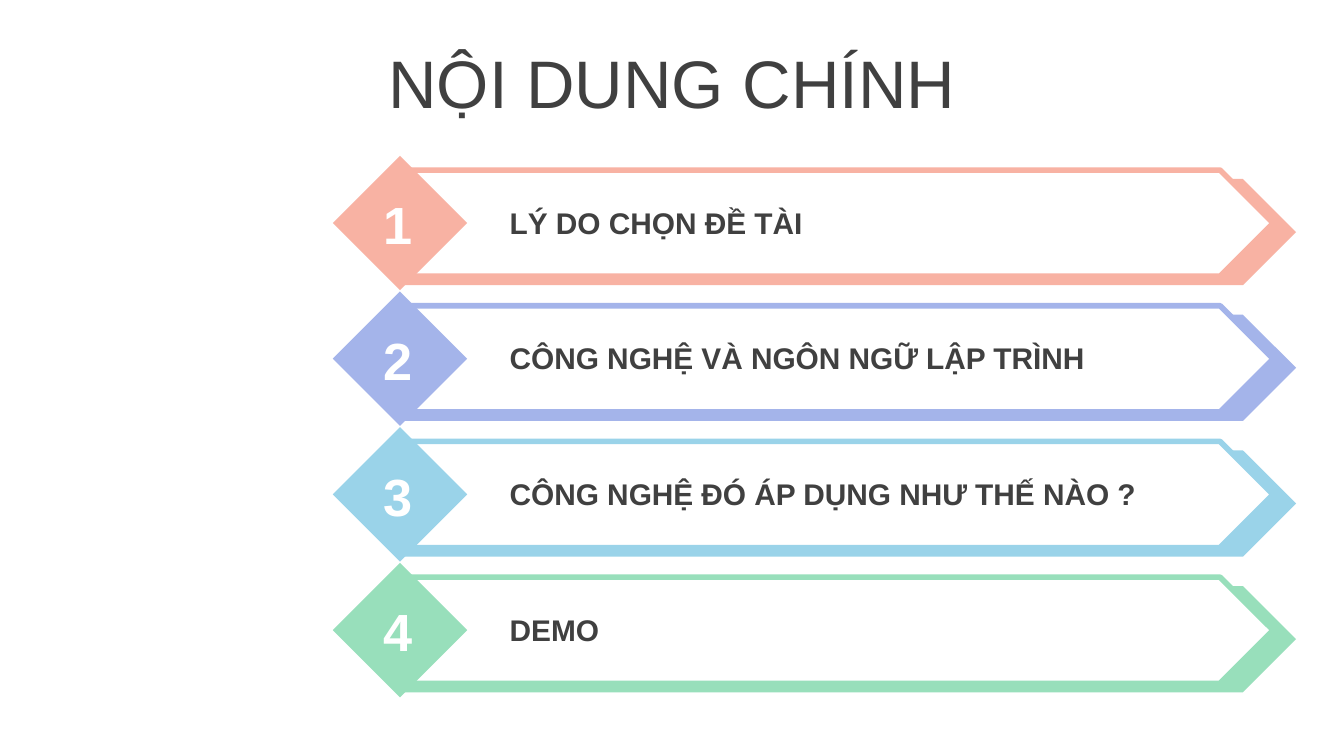
from pptx import Presentation
from pptx.dml.color import RGBColor
from pptx.enum.shapes import MSO_SHAPE
from pptx.enum.text import MSO_ANCHOR, PP_ALIGN
from pptx.util import Pt

COLORS = {
    "text": "404040",
    "white": "FFFFFF",
    "coral": "F8B2A3",
    "violet": "A4B4EA",
    "sky": "9AD3E9",
    "mint": "98DFBB",
}
ITEMS = [
    ("coral", "LÝ DO CHỌN ĐỀ TÀI"),
    ("violet", "CÔNG NGHỆ VÀ NGÔN NGỮ LẬP TRÌNH"),
    ("sky", "CÔNG NGHỆ ĐÓ ÁP DỤNG NHƯ THẾ NÀO ?"),
    ("mint", "DEMO"),
]
FIRST_TOP, PITCH = 83.5, 72.7


def add_block(shapes, kind, left, top, width, height, fill, line=None):
    sp = shapes.add_shape(kind, Pt(left), Pt(top), Pt(width), Pt(height))
    sp.shadow.inherit = False
    sp.fill.solid()
    sp.fill.fore_color.rgb = RGBColor.from_string(COLORS[fill])
    if line:
        sp.line.color.rgb = RGBColor.from_string(COLORS[line])
        sp.line.width = Pt(3)
    else:
        sp.line.fill.background()


def write(sp, text, size, color, bold, align, anchor):
    tf = sp.text_frame
    tf.word_wrap = True
    tf.vertical_anchor = anchor
    p = tf.paragraphs[0]
    p.alignment = align
    r = p.add_run()
    r.text = text
    r.font.name = "Arial"
    r.font.size = Pt(size)
    r.font.bold = bold
    r.font.color.rgb = RGBColor.from_string(COLORS[color])


prs = Presentation()
prs.slide_width, prs.slide_height = Pt(720), Pt(405)
s = prs.slides.add_slide(prs.slide_layouts[5])

# Title
title = s.shapes.title
title.left, title.top, title.width, title.height = Pt(0), Pt(21), Pt(720), Pt(45)
write(title, "NỘI DUNG CHÍNH", 36, "text", False, PP_ALIGN.CENTER, MSO_ANCHOR.MIDDLE)

# Agenda rows
for i, (color, label) in enumerate(ITEMS):
    top = FIRST_TOP + i * PITCH

    # Banner: coloured arrow behind, outlined arrow in front, diamond
    banner = s.shapes.add_group_shape().shapes
    add_block(banner, MSO_SHAPE.PENTAGON, 216.3, top + 12.4, 478, 56.9, color)
    add_block(banner, MSO_SHAPE.PENTAGON, 216.3, top + 7.6, 465.8, 56.9, "white", color)
    add_block(banner, MSO_SHAPE.DIAMOND, 178.3, top, 72, 72, color)

    # Number and label
    number = s.shapes.add_textbox(Pt(197), Pt(top + 15.9), Pt(32), Pt(41))
    write(number, str(i + 1), 28, "white", True, PP_ALIGN.CENTER, MSO_ANCHOR.MIDDLE)
    caption = s.shapes.add_textbox(Pt(266), Pt(top + 22.4), Pt(374), Pt(26.7))
    write(caption, label, 16, "text", True, PP_ALIGN.LEFT, MSO_ANCHOR.TOP)

prs.save("out.pptx")
